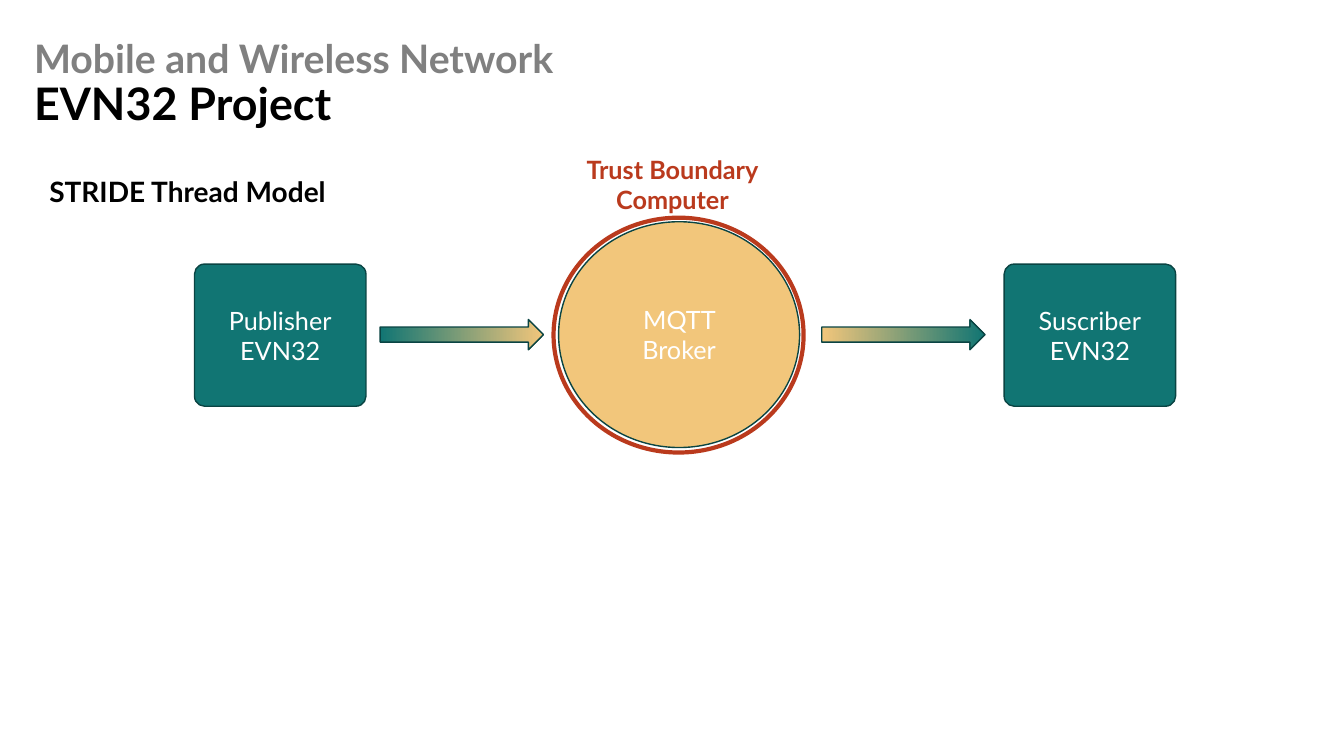
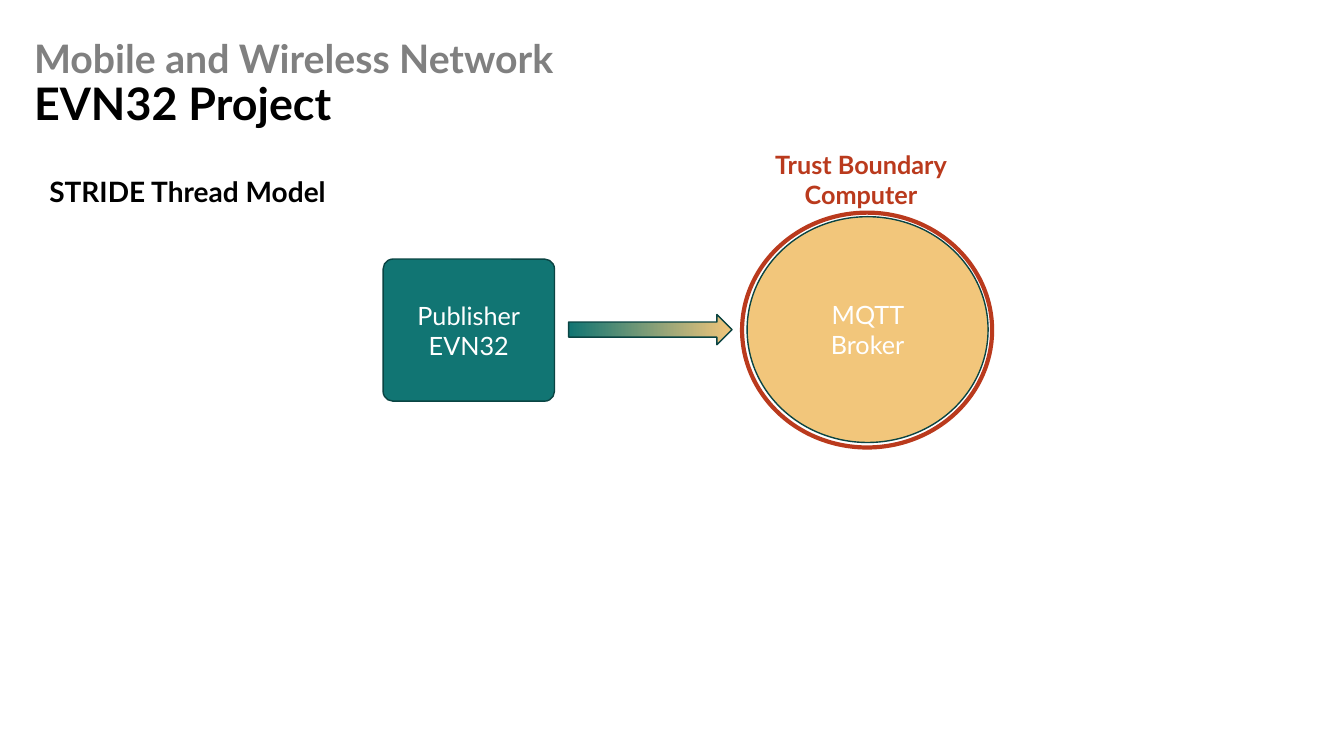
from typing import NamedTuple

from pptx import Presentation
from pptx.dml.color import RGBColor
from pptx.enum.shapes import MSO_SHAPE
from pptx.enum.text import MSO_ANCHOR, PP_ALIGN
from pptx.shapes.autoshape import Shape
from pptx.slide import Slide
from pptx.util import Inches, Pt

FONT = "Lato"
TEAL = RGBColor(0x11, 0x75, 0x73)
DARK_TEAL = RGBColor(0x0A, 0x44, 0x43)
SAND = RGBColor(0xF2, 0xC6, 0x7B)
RED = RGBColor(0xBA, 0x3A, 0x1D)
GRAY = RGBColor(0x80, 0x80, 0x80)
BLACK = RGBColor(0, 0, 0)
WHITE = RGBColor(0xFF, 0xFF, 0xFF)


class Box(NamedTuple):
    left: float
    top: float
    width: float
    height: float

    def moved(self, right: float, down: float) -> "Box":
        return self._replace(left=self.left + right, top=self.top + down)


class TextRun(NamedTuple):
    text: str
    size: int
    color: RGBColor
    bold: bool = False


class Node(NamedTuple):
    kind: MSO_SHAPE
    box: Box
    lines: tuple[str, ...]
    fill: RGBColor


class Flow(NamedTuple):
    box: Box
    start: RGBColor
    end: RGBColor


class Diagram(NamedTuple):
    right: float
    down: float
    nodes: tuple[Node, ...]
    flows: tuple[Flow, ...]


TITLE_BOX = Box(0.24, 0.19, 7.34, 1.15)
SUBTITLE_BOX = Box(0.39, 1.68, 3.22, 0.44)
BOUNDARY_BOX = Box(5.49, 2.16, 2.48, 2.33)
BOUNDARY_LABEL_BOX = Box(5.67, 1.48, 2, 0.63)

BOARD = "EVN32"
TITLE = (
    TextRun("Mobile and Wireless Network", 28, GRAY, True),
    TextRun(f"{BOARD} Project", 32, BLACK, True),
)
SUBTITLE = (TextRun("STRIDE Thread Model", 20, BLACK, True),)
BOUNDARY_LABEL = (
    TextRun("Trust Boundary", 18, RED, True),
    TextRun("Computer", 18, RED, True),
)

PUBLISHER = Node(MSO_SHAPE.ROUNDED_RECTANGLE, Box(1.93, 2.62, 1.7, 1.41),
                 ("Publisher", BOARD), TEAL)
SUBSCRIBER = Node(MSO_SHAPE.ROUNDED_RECTANGLE, Box(9.96, 2.62, 1.7, 1.41),
                  ("Suscriber", BOARD), TEAL)
BROKER = Node(MSO_SHAPE.OVAL, Box(5.54, 2.2, 2.39, 2.24), ("MQTT Broker",), SAND)
PUBLISH = Flow(Box(3.77, 3.17, 1.62, 0.3), TEAL, SAND)
DELIVER = Flow(Box(8.15, 3.17, 1.62, 0.3), SAND, TEAL)

DIAGRAMS = (
    Diagram(0, 0, (PUBLISHER, SUBSCRIBER, BROKER), (PUBLISH, DELIVER)),
    Diagram(1.87, -0.05, (PUBLISHER, BROKER), (PUBLISH,)),
)


def add_run(paragraph, text_run: TextRun) -> None:
    run = paragraph.add_run()
    run.text = text_run.text
    run.font.name = FONT
    run.font.size = Pt(text_run.size)
    run.font.bold = text_run.bold
    run.font.color.rgb = text_run.color


def add_text(slide: Slide, box: Box, runs: tuple[TextRun, ...],
             alignment: PP_ALIGN = PP_ALIGN.LEFT,
             anchor: MSO_ANCHOR = MSO_ANCHOR.TOP, spacing: float = 1.0) -> None:
    """Add one paragraph with a line break between its runs."""
    frame = slide.shapes.add_textbox(*map(Inches, box)).text_frame
    frame.word_wrap = True
    frame.vertical_anchor = anchor
    paragraph = frame.paragraphs[0]
    paragraph.alignment = alignment
    paragraph.line_spacing = spacing
    for index, text_run in enumerate(runs):
        if index:
            paragraph.add_line_break()
        add_run(paragraph, text_run)


def add_outlined_shape(slide: Slide, kind: MSO_SHAPE, box: Box,
                       line: RGBColor = DARK_TEAL, weight: float = 1) -> Shape:
    shape = slide.shapes.add_shape(kind, *map(Inches, box))
    shape.shadow.inherit = False
    shape.line.color.rgb = line
    shape.line.width = Pt(weight)
    return shape


def add_node(slide: Slide, node: Node, box: Box) -> None:
    shape = add_outlined_shape(slide, node.kind, box)
    if node.kind == MSO_SHAPE.ROUNDED_RECTANGLE:
        shape.adjustments[0] = 0.07
    shape.fill.solid()
    shape.fill.fore_color.rgb = node.fill
    frame = shape.text_frame
    frame.word_wrap = True
    frame.margin_left = frame.margin_right = Inches(0.15)
    frame.vertical_anchor = MSO_ANCHOR.MIDDLE
    for index, line in enumerate(node.lines):
        paragraph = frame.add_paragraph() if index else frame.paragraphs[0]
        paragraph.alignment = PP_ALIGN.CENTER
        add_run(paragraph, TextRun(line, 18, WHITE))


def add_flow(slide: Slide, flow: Flow, box: Box) -> None:
    shape = add_outlined_shape(slide, MSO_SHAPE.RIGHT_ARROW, box)
    shape.fill.gradient()
    shape.fill.gradient_angle = 0
    for stop, color in zip(shape.fill.gradient_stops, (flow.start, flow.end)):
        stop.color.rgb = color


def add_diagram(slide: Slide, diagram: Diagram) -> None:
    offset = (diagram.right, diagram.down)
    for node in diagram.nodes:
        add_node(slide, node, node.box.moved(*offset))
    for flow in diagram.flows:
        add_flow(slide, flow, flow.box.moved(*offset))
    boundary = add_outlined_shape(slide, MSO_SHAPE.OVAL,
                                  BOUNDARY_BOX.moved(*offset), RED, 3)
    boundary.fill.background()
    add_text(slide, BOUNDARY_LABEL_BOX.moved(*offset), BOUNDARY_LABEL,
             PP_ALIGN.CENTER)


def main() -> None:
    presentation = Presentation()
    presentation.slide_width = Inches(13.33)
    presentation.slide_height = Inches(7.5)
    blank_layout = presentation.slide_layouts[6]
    for diagram in DIAGRAMS:
        slide = presentation.slides.add_slide(blank_layout)
        add_text(slide, TITLE_BOX, TITLE, anchor=MSO_ANCHOR.BOTTOM, spacing=0.9)
        add_text(slide, SUBTITLE_BOX, SUBTITLE)
        add_diagram(slide, diagram)
    presentation.save("out.pptx")


if __name__ == "__main__":
    main()
